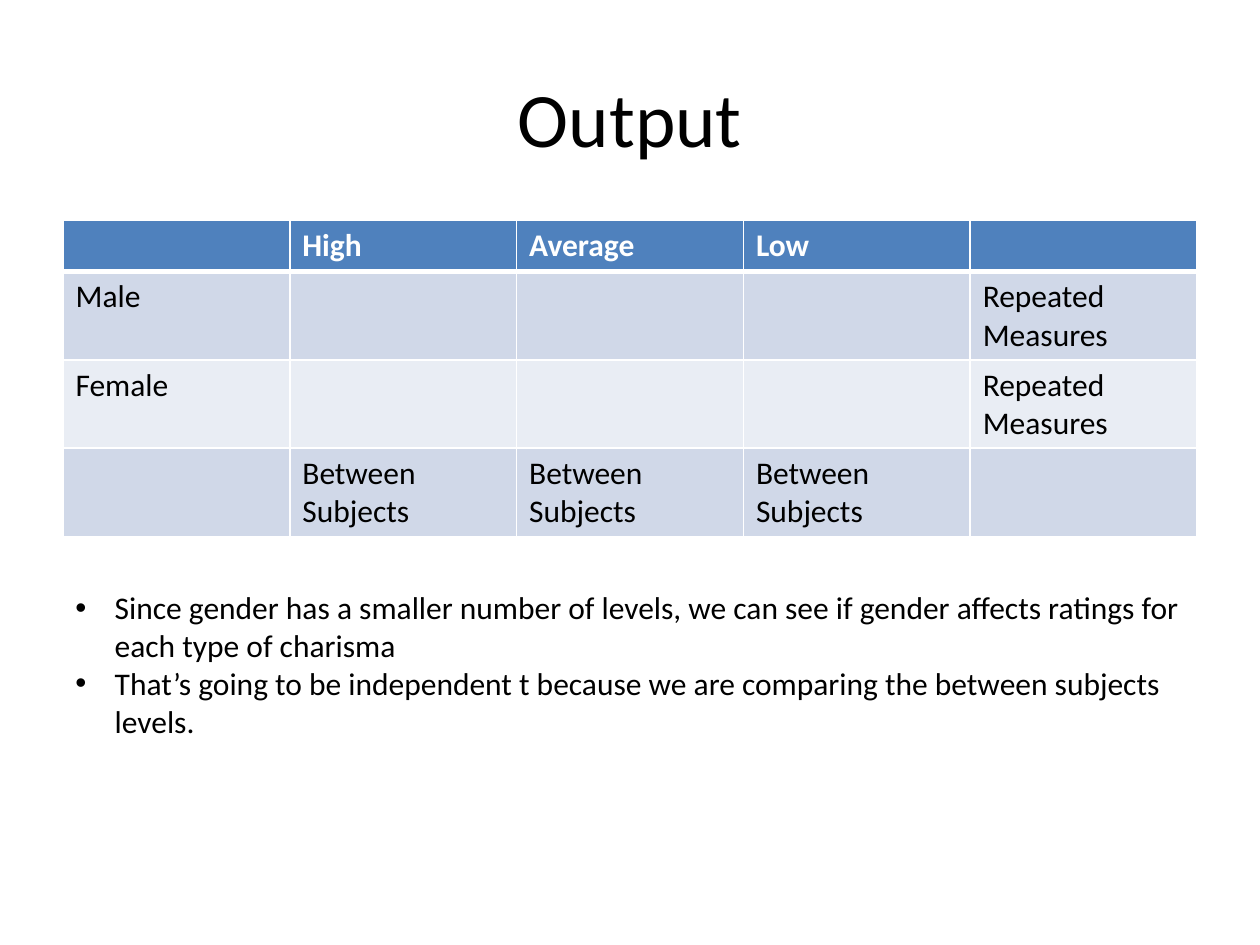
from lxml import etree
from pptx import Presentation
from pptx.dml.color import RGBColor
from pptx.enum.text import MSO_ANCHOR, MSO_AUTO_SIZE, PP_ALIGN
from pptx.oxml.ns import qn
from pptx.util import Pt

LEFT, CENTER = PP_ALIGN.LEFT, PP_ALIGN.CENTER
TOP, MIDDLE = MSO_ANCHOR.TOP, MSO_ANCHOR.MIDDLE
GROW = MSO_AUTO_SIZE.SHAPE_TO_FIT_TEXT

BLACK = RGBColor(0x00, 0x00, 0x00)
WHITE = RGBColor(0xFF, 0xFF, 0xFF)
HEADER_BLUE = RGBColor(0x4F, 0x81, 0xBD)
BANDS = (RGBColor(0xD0, 0xD8, 0xE8), RGBColor(0xE9, 0xED, 0xF4))

MARGIN, CONTENT_WIDTH = 36, 648
BULLET_INDENT = 22.5
HEADER_HEIGHT, ROW_HEIGHT = 29.2, 50.4
THIN, THICK = 1, 3

DESIGN = [
    ["", "High", "Average", "Low", ""],
    ["Male", "", "", "", "Repeated Measures"],
    ["Female", "", "", "", "Repeated Measures"],
    ["", *["Between Subjects"] * 3, ""],
]
NOTES = [
    "Since gender has a smaller number of levels, we can see if gender "
    "affects ratings for each type of charisma",
    "That’s going to be independent t because we are comparing the "
    "between subjects levels.",
]


def write(frame, text, size=18, color=BLACK, bold=False, align=LEFT, bullet=None):
    """Fill a text frame, one paragraph for each line of text."""
    for index, line in enumerate(text.split("\n")):
        paragraph = frame.add_paragraph() if index else frame.paragraphs[0]
        paragraph.text = line
        paragraph.alignment = align
        if bullet:
            properties = paragraph._p.get_or_add_pPr()
            properties.set("marL", str(Pt(BULLET_INDENT)))
            properties.set("indent", str(-Pt(BULLET_INDENT)))
            etree.SubElement(properties, qn("a:buFont"), typeface="Arial")
            etree.SubElement(properties, qn("a:buChar"), char=bullet)
        font = paragraph.font
        font.name, font.size, font.bold = "Calibri", Pt(size), bold
        font.color.rgb = color


def set_borders(cell, color, **widths):
    """Draw cell edges; widths are given by the edge letters L, R, T and B."""
    properties = cell._tc.get_or_add_tcPr()
    for edge, width in widths.items():
        line = etree.SubElement(properties, qn(f"a:ln{edge}"), w=str(Pt(width)))
        fill = etree.SubElement(line, qn("a:solidFill"))
        etree.SubElement(fill, qn("a:srgbClr"), val=str(color))


class Deck:
    def __init__(self):
        self.presentation = Presentation()
        self.presentation.slide_width = Pt(720)
        self.presentation.slide_height = Pt(540)
        self.slide = None

    def new_slide(self):
        self.slide = self.presentation.slides.add_slide(
            self.presentation.slide_layouts[6])

    def text(self, top, height, text, anchor=TOP, auto_size=None, **style):
        box = self.slide.shapes.add_textbox(
            Pt(MARGIN), Pt(top), Pt(CONTENT_WIDTH), Pt(height))
        frame = box.text_frame
        frame.word_wrap = True
        frame.vertical_anchor = anchor
        if auto_size is not None:
            frame.auto_size = auto_size
        write(frame, text, **style)

    def table(self, top, rows):
        height = HEADER_HEIGHT + ROW_HEIGHT * (len(rows) - 1)
        table = self.slide.shapes.add_table(
            len(rows), len(rows[0]), Pt(MARGIN), Pt(top),
            Pt(CONTENT_WIDTH), Pt(height)).table
        for r, labels in enumerate(rows):
            is_header = r == 0
            table.rows[r].height = Pt(HEADER_HEIGHT if is_header else ROW_HEIGHT)
            for c, label in enumerate(labels):
                cell = table.cell(r, c)
                set_borders(cell, WHITE, L=THIN, R=THIN,
                            T=THICK if r == 1 else THIN,
                            B=THICK if is_header else THIN)
                cell.fill.solid()
                cell.fill.fore_color.rgb = (
                    HEADER_BLUE if is_header else BANDS[(r - 1) % 2])
                write(cell.text_frame, label, bold=is_header,
                      color=WHITE if is_header else BLACK)


def main():
    deck = Deck()
    deck.new_slide()
    deck.text(21.6, 90, "Output", anchor=MIDDLE, size=44, align=CENTER)
    deck.table(126, DESIGN)
    deck.text(332.6, 116.6, "\n".join(NOTES), auto_size=GROW, bullet="•")
    deck.presentation.save("out.pptx")


if __name__ == "__main__":
    main()
